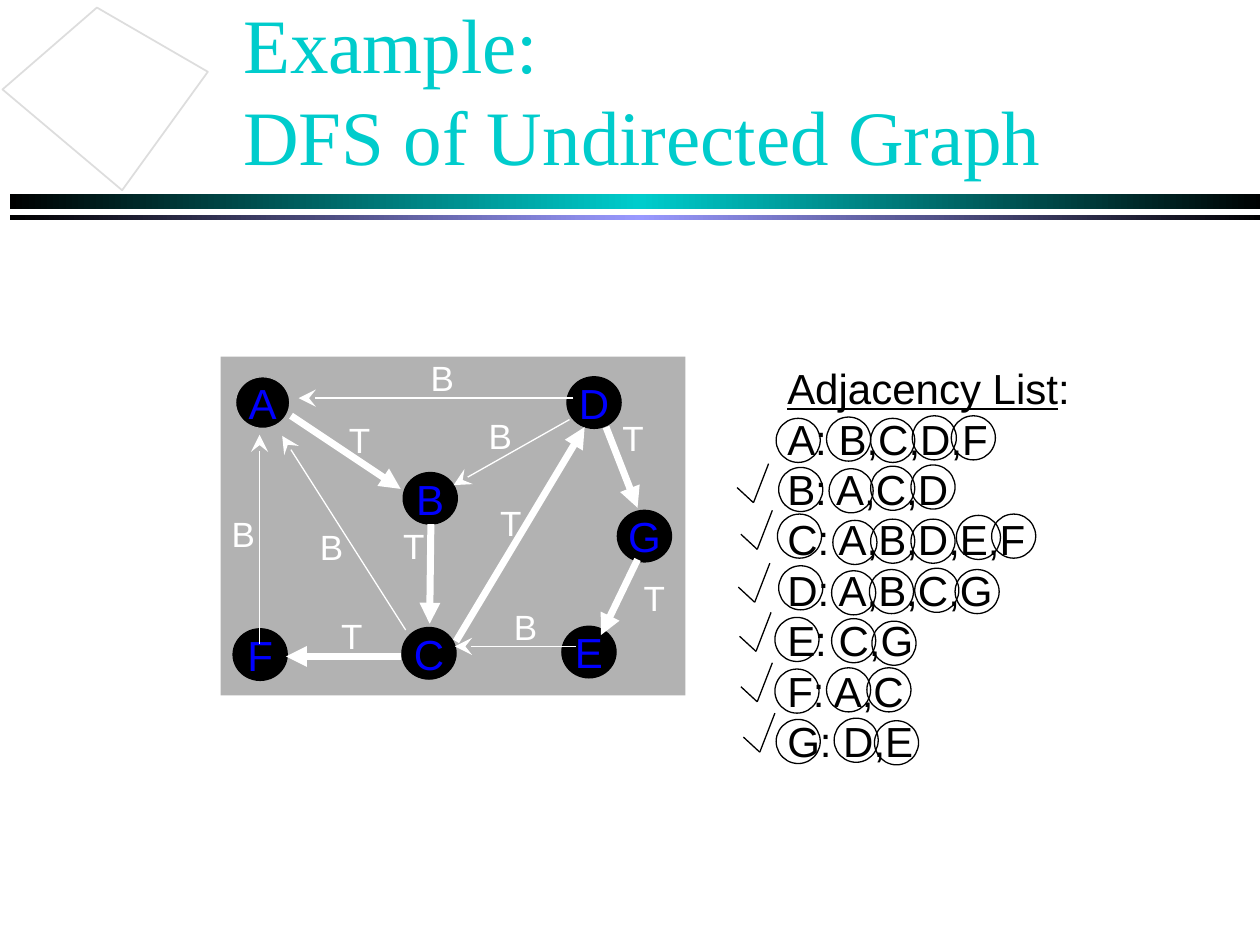
from pptx import Presentation
from pptx.dml.color import RGBColor
from pptx.enum.shapes import MSO_CONNECTOR, MSO_SHAPE
from pptx.enum.text import MSO_ANCHOR, MSO_AUTO_SIZE, PP_ALIGN
from pptx.oxml import parse_xml
from pptx.oxml.ns import nsdecls, qn
from pptx.oxml.xmlchemy import OxmlElement
from pptx.util import Pt
from copy import deepcopy

PX = 9144  # 100 px to the inch
hex_color = RGBColor.from_string

presentation = Presentation()
presentation.slide_width, presentation.slide_height = 1000 * PX, 750 * PX
slide = presentation.slides.add_slide(presentation.slide_layouts[5])
shapes = slide.shapes


def add_plain_shape(kind, box, fill=None, line=None):
    """Add a preset shape without shadow; no fill or line unless given."""
    shape = shapes.add_shape(kind, *[value * PX for value in box])
    shape.shadow.inherit = False
    if fill:
        shape.fill.solid()
        shape.fill.fore_color.rgb = hex_color(fill)
    else:
        shape.fill.background()
    if line:
        shape.line.color.rgb = hex_color(line)
        shape.line.width = Pt(0.75)
    else:
        shape.line.fill.background()
    return shape


def add_run(paragraph, text, size, color, name="Arial"):
    run = paragraph.add_run()
    run.text = text
    run.font.size = Pt(size)
    run.font.color.rgb = hex_color(color)
    run.font.name = name
    return run


# Header: two gradient bars and a tilted outline
for top, height, middle in [(154, 12, "00CCCC"), (171, 4, "9999FF")]:
    bar = add_plain_shape(MSO_SHAPE.RECTANGLE, (8, top, 999, height))
    bar.fill.gradient()
    bar.fill.gradient_angle = 0
    first_stop = bar._element.spPr.find(qn("a:gradFill")).find(qn("a:gsLst"))[0]
    first_stop.addnext(deepcopy(first_stop))
    for stop, position, color in zip(bar.fill.gradient_stops, (0, 0.5, 1),
                                     ("000000", middle, "000000")):
        stop.position = position
        stop.color.rgb = hex_color(color)

builder = shapes.build_freeform(97, 151, scale=PX)
builder.add_line_segments([(2, 71), (77, 6), (165, 57)], close=True)
outline = builder.convert_to_shape()
outline.shadow.inherit = False
outline.fill.solid()
outline.fill.fore_color.rgb = hex_color("FFFFFF")
outline.line.color.rgb = hex_color("DDDDDD")
outline.line.width = Pt(1)

# Title
title = shapes.title
title.left, title.top, title.width, title.height = [
    value * PX for value in (183, 8, 850, 125)]
frame = title.text_frame
frame.auto_size = MSO_AUTO_SIZE.NONE
frame.vertical_anchor = MSO_ANCHOR.MIDDLE
paragraph = frame.paragraphs[0]
paragraph.alignment = PP_ALIGN.LEFT
for index, text in enumerate(["Example: ", "DFS of Undirected Graph"]):
    if index:
        paragraph.add_line_break()
    run = add_run(paragraph, text, 44, "00CCCC", "Times New Roman")
    run.font._element.find(qn("a:solidFill")).addnext(parse_xml(
        f'<a:effectLst {nsdecls("a")}><a:outerShdw dist="17961" dir="2700000">'
        '<a:srgbClr val="000000"/></a:outerShdw></a:effectLst>'))

# Adjacency list
adjacency = shapes.add_textbox(615 * PX, 283 * PX, 244 * PX, 330 * PX)
frame = adjacency.text_frame
frame.word_wrap = False
paragraph = frame.paragraphs[0]
add_run(paragraph, "Adjacency List", 24, "000000").font.underline = True
add_run(paragraph, ":", 24, "000000")
for row in ["A: B,C,D,F", "B: A,C,D", "C: A,B,D,E,F", "D: A,B,C,G",
            "E: C,G", "F: A,C", "G: D,E"]:
    add_run(frame.add_paragraph(), row, 24, "000000")

# Circles round the visited letters, one list per row
visited_rows = [
    [(616, 332), (656, 331), (691, 332), (724, 330), (755, 330)],
    [(618, 371), (658, 372), (691, 370), (723, 369)],
    [(617, 408), (661, 413), (691, 412), (723, 412), (759, 409), (787, 408)],
    [(618, 449), (660, 453), (690, 452), (726, 451), (758, 452)],
    [(615, 490), (660, 491), (692, 493)],
    [(615, 531), (656, 530), (688, 530)],
    [(616, 571), (662, 570), (694, 572)],
]
for row in visited_rows:
    for left, top in row:
        add_plain_shape(MSO_SHAPE.OVAL, (left, top, 35, 35), line="000000")

# Graph panel and nodes
add_plain_shape(MSO_SHAPE.RECTANGLE, (175, 283, 369, 269), fill="B2B2B2")
nodes = {"A": (187, 299), "B": (320, 375), "C": (319, 498), "D": (450, 299),
         "E": (446, 497), "F": (185, 499), "G": (490, 405)}
for letter, (left, top) in nodes.items():
    node = add_plain_shape(MSO_SHAPE.OVAL, (left, top, 43, 41), "000000",
                           "B2B2B2" if letter == "A" else "000000")
    frame = node.text_frame
    frame.word_wrap = False
    frame.vertical_anchor = MSO_ANCHOR.MIDDLE
    frame.paragraphs[0].alignment = PP_ALIGN.CENTER
    add_run(frame.paragraphs[0], letter, 24, "0000FF")

# Edges: T is a tree edge, B a back edge; ends, then label corner
edges = [
    ("B", (322, 500, 224, 346), (244, 412)),
    ("T", (231, 330, 318, 388), (267, 327)),
    ("T", (342, 416, 341, 495), (310, 411)),
    ("T", (362, 509, 464, 339), (387, 393)),
    ("B", (455, 316, 237, 316), (332, 278)),
    ("B", (452, 333, 360, 385), (378, 324)),
    ("T", (481, 339, 506, 403), (484, 326)),
    ("T", (506, 444, 477, 504), (501, 453)),
    ("B", (457, 513, 361, 513), (398, 476)),
    ("T", (318, 521, 227, 521), (261, 483)),
    ("B", (206, 511, 206, 345), (174, 402)),
]
edge_styles = {"T": (4, "triangle", "med"), "B": (0.75, "stealth", "lg")}
lines = []
for label, ends, (left, top) in edges:
    lines.append((ends, "FFFFFF", *edge_styles[label]))
    box = shapes.add_textbox(left * PX, top * PX, 48 * PX, 44 * PX)
    box.text_frame.word_wrap = True
    add_run(box.text_frame.paragraphs[0], label, 20, "FFFFFF")

# Check marks beside the list: a short and a long stroke
for x, y in [(585, 387), (588, 424), (586, 466), (587, 505), (588, 545), (590, 585)]:
    lines.append(((x, y, x + 13, y + 12), "000000", 0.75, None, None))
    lines.append(((x + 13, y + 12, x + 25, y - 19), "000000", 0.75, None, None))

for ends, color, width, arrowhead, head_size in lines:
    connector = shapes.add_connector(MSO_CONNECTOR.STRAIGHT,
                                     *[value * PX for value in ends])
    connector.line.color.rgb = hex_color(color)
    connector.line.width = Pt(width)
    if arrowhead:
        tail = OxmlElement("a:tailEnd")
        tail.set("type", arrowhead)
        tail.set("w", head_size)
        tail.set("len", head_size)
        connector.line._get_or_add_ln().append(tail)
    connector._element.spPr.append(OxmlElement("a:effectLst"))

presentation.save("out.pptx")
